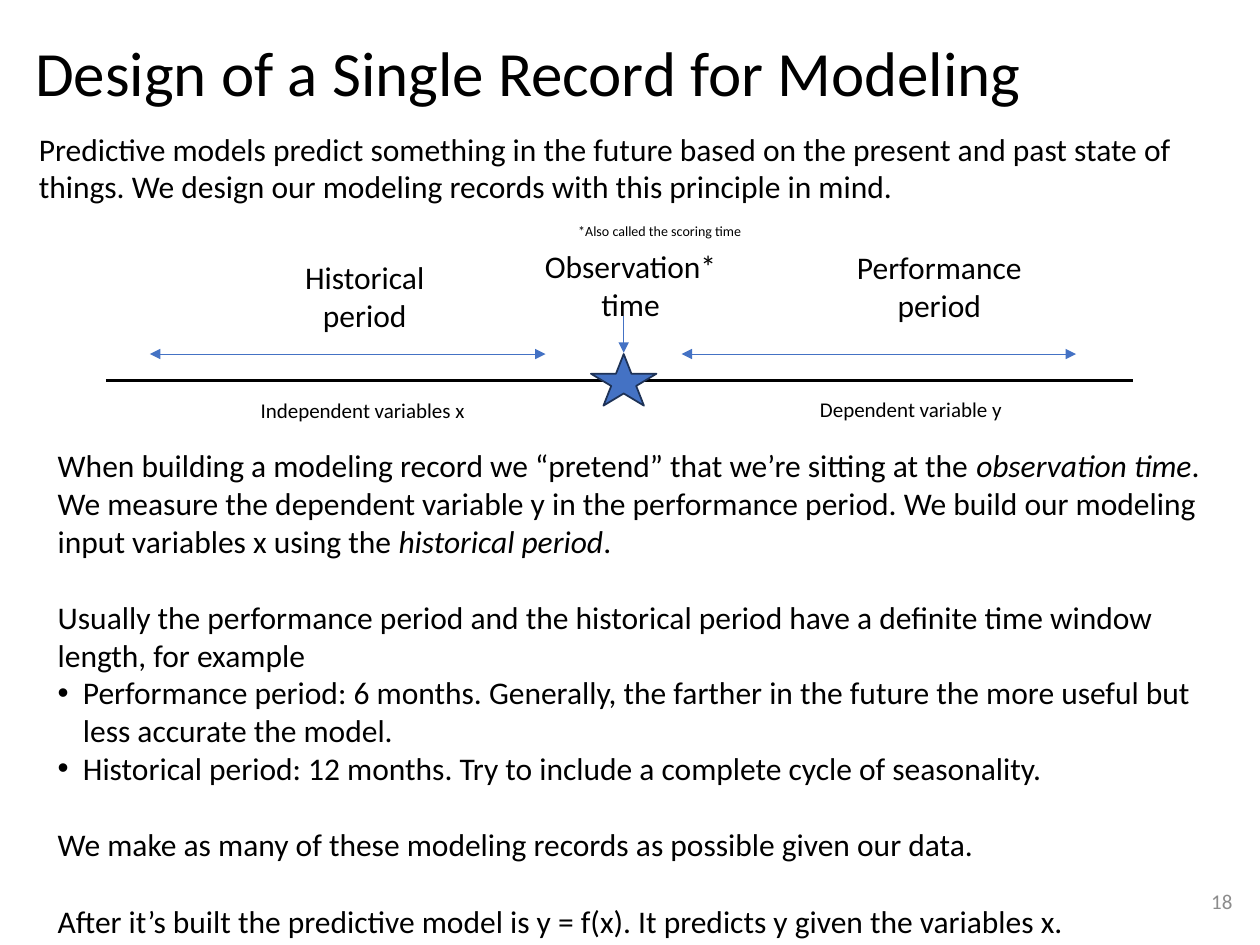
from lxml import etree
from pptx import Presentation
from pptx import util as u
from pptx.dml import color
from pptx.enum import shapes, text
from pptx.oxml import ns

BLUE = "4472C4"
LEFT, MID, RIGHT = text.PP_ALIGN.LEFT, text.PP_ALIGN.CENTER, text.PP_ALIGN.RIGHT

deck = Presentation()
deck.slide_width, deck.slide_height = u.Inches(10), u.Inches(7.5)
slide = deck.slides.add_slide(deck.slide_layouts[6])
COL = deck.slide_width / 100
ROW = deck.slide_height / 75


def paint(fmt, hue):
    if hasattr(fmt, "solid"):
        fmt.solid()
        fmt = fmt.fore_color
    fmt.rgb = color.RGBColor.from_string(hue)


def write(box, paras, size, align=LEFT, hue="000000", wrap=True, anchor=text.MSO_ANCHOR.TOP):
    """Each paragraph is (space before, bulleted, words); *-less odd parts are italic."""
    x, y, w, h = box
    frame = slide.shapes.add_textbox(int(x * COL), int(y * ROW), int(w * COL), int(h * ROW)).text_frame
    frame.word_wrap = wrap
    frame.vertical_anchor = anchor
    for i, (gap, dot, words) in enumerate(paras):
        para = frame.add_paragraph() if i else frame.paragraphs[0]
        for j, part in enumerate(words.split("|")):
            run = para.add_run()
            run.text = part
            if j % 2:
                run.font.italic = True
        if dot:
            props = para._p.get_or_add_pPr()
            props.set("marL", str(u.Inches(0.2)))
            props.set("indent", str(-u.Inches(0.2)))
            etree.SubElement(props, ns.qn("a:buFont"), typeface="Arial")
            etree.SubElement(props, ns.qn("a:buChar"), char="•")
        para.alignment = align
        if gap:
            para.space_before = u.Pt(gap)
        para.font.name, para.font.size = "Calibri", u.Pt(size)
        paint(para.font.color, hue)
    return frame


# Title, page number and opening
middle = text.MSO_ANCHOR.MIDDLE
title = write((1.8, 1.6, 86.2, 8.9), [(0, False, "Design of a Single Record for Modeling")], 36, anchor=middle)
title.paragraphs[0].line_spacing = 0.9
write((93.1, 69.5, 5.7, 4), [(0, False, "18")], 12, RIGHT, "8C8C8C", anchor=middle)
write((2.1, 9.8, 95.8, 7.1), [(0, False, "Predictive models predict something in the future based on the "
      "present and past state of things. We design our modeling records with this principle in mind.")], 18)

# Timeline labels
for x, y, w, words in [(21.6, 20, 14.7, "Historical period"),
                       (42.2, 19.1, 15.7, "Observation* time"),
                       (66.7, 19.2, 15.7, "Performance period")]:
    write((x, y, w, 7.1), [(0, False, words)], 18, MID)
for x, y, w, size, words in [(19.7, 31.1, 18.4, 12, "Independent variables x"),
                             (64.1, 31, 16.6, 12, "Dependent variable y"),
                             (44.9, 17.2, 15.1, 8, "*Also called the scoring time")]:
    write((x, y, w, 3), [(0, False, words)], size, wrap=False)

# Timeline, observation pointer and period spans
for x1, y1, x2, y2, hue, width, ends in [
        (8.4, 30.2, 89.9, 30.2, "000000", 2.25, []),
        (49.5, 25.1, 49.5, 28, BLUE, 0.5, ["tailEnd"]),
        (11.9, 28.1, 43.3, 28.1, BLUE, 0.5, ["headEnd", "tailEnd"]),
        (54.1, 28.1, 85.4, 28.1, BLUE, 0.5, ["headEnd", "tailEnd"])]:
    line = slide.shapes.add_connector(shapes.MSO_CONNECTOR.STRAIGHT, int(x1 * COL), int(y1 * ROW),
                                      int(x2 * COL), int(y2 * ROW))
    paint(line.line.fill, hue)
    line.line.width = u.Pt(width)
    for end in ends:
        etree.SubElement(line.line._get_or_add_ln(), ns.qn("a:" + end), type="triangle")
    etree.SubElement(line._element.spPr, ns.qn("a:effectLst"))

# Observation star
star = slide.shapes.add_shape(shapes.MSO_SHAPE.STAR_5_POINT, int(46.9 * COL), int(28.1 * ROW),
                              int(5.2 * COL), int(4.1 * ROW))
star.shadow.inherit = False
paint(star.fill, BLUE)
paint(star.line.fill, "1E3256")
star.line.width = u.Pt(1)

# Explanation, with one line of space between its parts
SKIP = 22
write((3.6, 34.9, 92.9, 40.4), [
    (0, False, "When building a modeling record we “pretend” that we’re sitting at the |observation time|. "
     "We measure the dependent variable y in the performance period. We build our modeling input "
     "variables x using the |historical period|."),
    (SKIP, False, "Usually the performance period and the historical period have a definite time window "
     "length, for example"),
    (0, True, "Performance period: 6 months. Generally, the farther in the future the more useful but "
     "less accurate the model."),
    (0, True, "Historical period: 12 months. Try to include a complete cycle of seasonality."),
    (SKIP, False, "We make as many of these modeling records as possible given our data."),
    (SKIP, False, "After it’s built the predictive model is y = f(x). It predicts y given the variables x."),
], 18)

deck.save("out.pptx")
